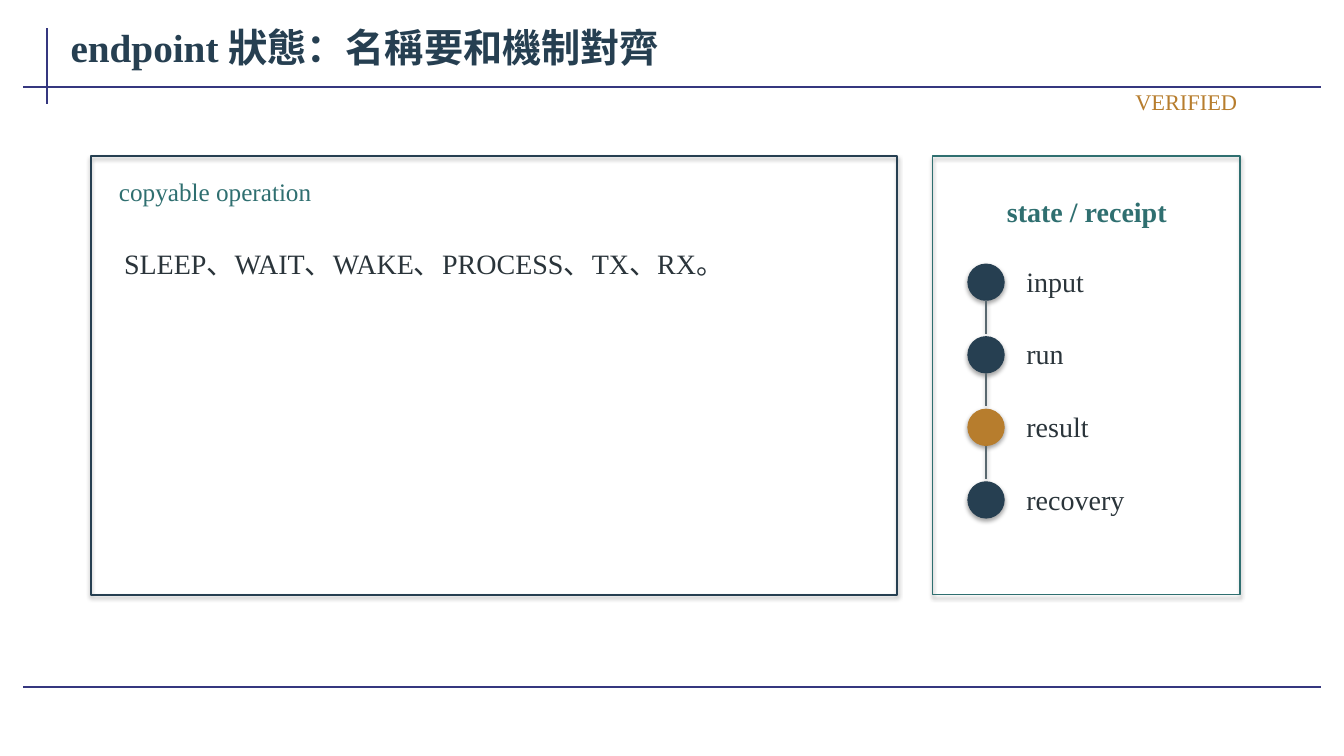
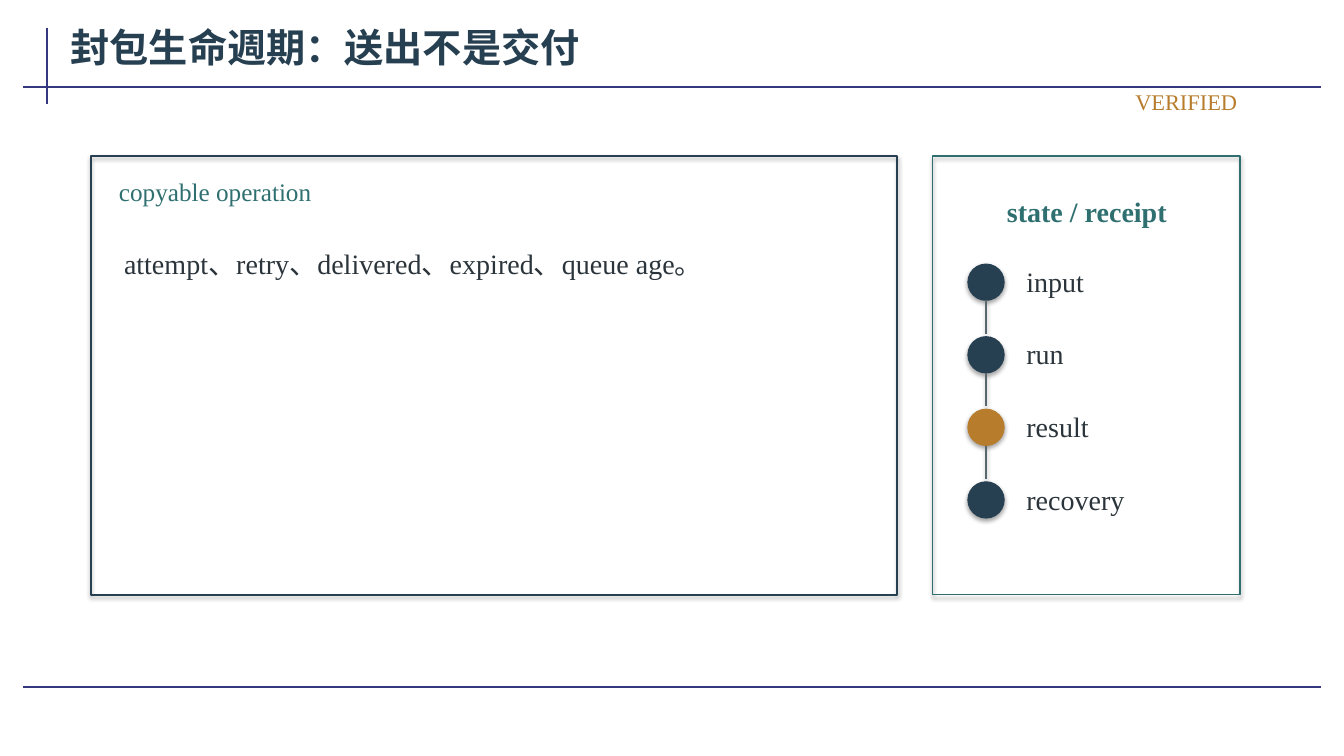
from lxml import etree
from pptx import Presentation
from pptx import util as u
from pptx.dml.color import RGBColor
from pptx.enum import shapes, text
from pptx.oxml import ns

PX = 9144
INDIGO = RGBColor(0x35, 0x37, 0x7F)
NAVY = RGBColor(0x26, 0x3F, 0x51)
TEAL = RGBColor(0x2F, 0x6F, 0x70)
AMBER = RGBColor(0xB7, 0x7D, 0x2D)
INK = RGBColor(0x2A, 0x34, 0x3A)
GRAY = RGBColor(0x59, 0x68, 0x6F)

FONT = "Times New Roman"
TITLE_ONLY = 5
FRAME_LINES = [(47, 28, 47, 103), (23, 86, 1310, 86), (23, 682, 1310, 682)]
FRAME = {
    "margin_left": u.Emu(8 * PX),
    "margin_right": u.Emu(8 * PX),
    "margin_top": u.Emu(4 * PX),
    "margin_bottom": u.Emu(4 * PX),
    "vertical_anchor": text.MSO_ANCHOR.MIDDLE,
    "word_wrap": True,
}
LEFT, CENTER, RIGHT = text.PP_ALIGN.LEFT, text.PP_ALIGN.CENTER, text.PP_ALIGN.RIGHT
FIT, FIXED = text.MSO_AUTO_SIZE.SHAPE_TO_FIT_TEXT, text.MSO_AUTO_SIZE.NONE

STEPS = [("input", NAVY), ("run", NAVY), ("result", AMBER), ("recovery", NAVY)]
STEP_TOP, STEP_PITCH, DOT = 262, 72, 36
SLIDES = [
    ("endpoint 狀態：名稱要和機制對齊", "SLEEP、WAIT、WAKE、PROCESS、TX、RX。"),
    ("封包生命週期：送出不是交付", "attempt、retry、delivered、expired、queue age。"),
]


def px(*lengths):
    return [u.Emu(length * PX) for length in lengths]


class Builder:
    def __init__(self):
        self.deck = Presentation()
        self.deck.slide_width, self.deck.slide_height = px(1333, 750)
        self.layout = self.deck.slide_layouts[TITLE_ONLY]
        self.slide = None

    def start(self, title):
        first = self.slide is None
        self.slide = self.deck.slides.add_slide(self.layout)
        if first:
            self.share_frame()
        box = self.slide.shapes.title
        box.left, box.top, box.width, box.height = px(62, 15, 1249, 62)
        self.fill_text(box, title, 28, NAVY, bold=True, fit=FIXED)

    def share_frame(self):
        for ends in FRAME_LINES:
            line = self.line(ends, INDIGO, 1.5)
            etree.SubElement(line.element.spPr, ns.qn("a:effectLst"))
            self.layout.shapes.element.append(line.element)

    def fill_text(self, box, words, size, color, bold=False, align=LEFT, fit=FIT):
        frame = box.text_frame
        for name, value in {**FRAME, "auto_size": fit}.items():
            setattr(frame, name, value)
        para = frame.paragraphs[0]
        para.alignment = align
        span = para.add_run()
        span.text = words
        for name, value in {"name": FONT, "size": u.Pt(size), "bold": bold}.items():
            setattr(span.font, name, value)
        span.font.color.rgb = color

    def label(self, area, words, size, color, **style):
        box = self.slide.shapes.add_textbox(*px(*area))
        self.fill_text(box, words, size, color, **style)

    def shape(self, kind, area, color, width, filled=False):
        shape = self.slide.shapes.add_shape(kind, *px(*area))
        if filled:
            shape.fill.solid()
            shape.fill.fore_color.rgb = color
        else:
            shape.fill.background()
        shape.line.color.rgb = color
        shape.line.width = u.Pt(width)

    def panel(self, area, color, width):
        self.shape(shapes.MSO_SHAPE.RECTANGLE, area, color, width)

    def dot(self, left, top, color):
        self.shape(shapes.MSO_SHAPE.OVAL, (left, top, DOT, DOT), color, 0.75, filled=True)

    def line(self, ends, color, width):
        line = self.slide.shapes.add_connector(shapes.MSO_CONNECTOR.STRAIGHT, *px(*ends))
        line.line.color.rgb = color
        line.line.width = u.Pt(width)
        return line

    def steps(self):
        for index, (name, color) in enumerate(STEPS):
            top = STEP_TOP + index * STEP_PITCH
            self.dot(960, top, color)
            self.label((1010, top - 3, 185, 40), name, 20, INK)
            if index < len(STEPS) - 1:
                self.line((978, top + DOT, 978, top + STEP_PITCH - 3), GRAY, 0.9)


def main():
    builder = Builder()
    for title, operation in SLIDES:
        builder.start(title)
        builder.panel((90, 155, 800, 435), NAVY, 1.4)
        builder.label((110, 172, 760, 35), "copyable operation", 18, TEAL)
        builder.label((115, 225, 735, 72), operation, 20, INK)
        builder.panel((925, 155, 305, 435), TEAL, 1.1)
        builder.label((948, 182, 260, 55), "state / receipt", 20, TEAL, bold=True, align=CENTER)
        builder.steps()
        builder.label((915, 86, 320, 30), "VERIFIED", 16, AMBER, align=RIGHT)
    builder.deck.save("out.pptx")


if __name__ == "__main__":
    main()
